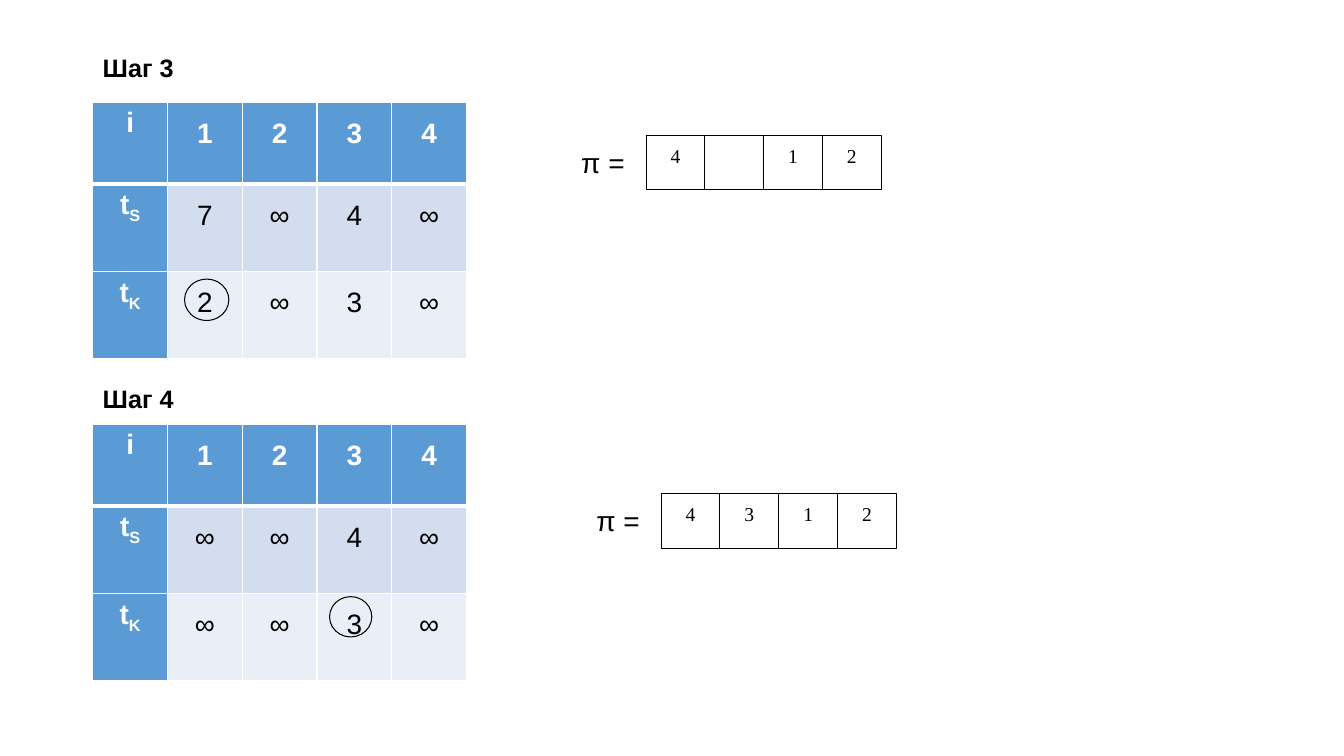
from pptx import Presentation
from pptx.dml.color import RGBColor
from pptx.enum.shapes import MSO_SHAPE
from pptx.enum.text import MSO_ANCHOR, MSO_AUTO_SIZE, PP_ALIGN
from pptx.oxml import parse_xml
from pptx.oxml.ns import nsdecls
from pptx.util import Pt

BLACK, WHITE, BLUE = "000000", "FFFFFF", "5B9BD5"
ROW_FILLS = [BLUE, "D2DEEF", "EAEFF7"]
ROW_HEIGHTS = [58.5, 62.5, 62.5]
COLUMN_WIDTH = 53.4
ROW_LABELS = [("i", ""), ("t", "S"), ("t", "K")]
LEFT = 66.3
CELL_WIDTH, CELL_HEIGHT, PI_WIDTH = 42, 38.9, 56


def color(value):
    return RGBColor.from_string(value)


def add_run(paragraph, text, size, font="Arial", fill=BLACK, bold=False):
    run = paragraph.add_run()
    run.text = text
    run.font.size = Pt(size)
    run.font.name = font
    run.font.bold = bold
    run.font.color.rgb = color(fill)
    return run


def center(paragraph, spacing):
    paragraph.alignment = PP_ALIGN.CENTER
    paragraph.line_spacing = spacing


def set_borders(cell, bottom_width):
    """Draw white borders, placed ahead of the cell fill as the schema asks."""
    properties = cell._tc.get_or_add_tcPr()
    widths = {"lnL": 1, "lnR": 1, "lnT": 1, "lnB": bottom_width}
    for index, (side, width) in enumerate(widths.items()):
        properties.insert(index, parse_xml(
            f'<a:{side} {nsdecls("a")} w="{Pt(width)}"><a:solidFill>'
            f'<a:srgbClr val="{WHITE}"/></a:solidFill></a:{side}>'))


def format_cell(cell, fill, bottom_width):
    cell.margin_left = cell.margin_right = Pt(5)
    cell.margin_top = cell.margin_bottom = 0
    cell.vertical_anchor = MSO_ANCHOR.TOP
    cell.fill.solid()
    cell.fill.fore_color.rgb = color(fill)
    set_borders(cell, bottom_width)


def add_label(cell, base, subscript):
    paragraph = cell.text_frame.paragraphs[0]
    center(paragraph, 1.15)
    add_run(paragraph, base, 20, fill=WHITE, bold=True)
    if subscript:
        run = add_run(paragraph, subscript, 20, fill=WHITE, bold=True)
        run.font._element.set("baseline", "-25000")


def add_times_table(slide, top, rows):
    table = slide.shapes.add_table(
        3, 5, Pt(LEFT), Pt(top), Pt(5 * COLUMN_WIDTH), Pt(sum(ROW_HEIGHTS))).table
    for column in table.columns:
        column.width = Pt(COLUMN_WIDTH)
    for row_index, values in enumerate(["1234", *rows]):
        table.rows[row_index].height = Pt(ROW_HEIGHTS[row_index])
        header = row_index == 0
        bottom_width = 3 if header else 1
        label_cell = table.cell(row_index, 0)
        format_cell(label_cell, BLUE, bottom_width)
        add_label(label_cell, *ROW_LABELS[row_index])
        for column_index, value in enumerate(values, start=1):
            cell = table.cell(row_index, column_index)
            format_cell(cell, ROW_FILLS[row_index], bottom_width)
            paragraph = cell.text_frame.paragraphs[0]
            center(paragraph, 1.5)
            add_run(paragraph, value, 20, fill=WHITE if header else BLACK, bold=header)


def add_outlined(shapes, kind, left, top, width, height):
    shape = shapes.add_shape(kind, Pt(left), Pt(top), Pt(width), Pt(height))
    shape.shadow.inherit = False
    shape.line.color.rgb = color(BLACK)
    shape.line.width = Pt(0.75)
    return shape


def add_permutation(slide, left, top, values):
    """Draw π = followed by a row of boxes; None leaves a box empty."""
    shapes = slide.shapes.add_group_shape().shapes
    pi_box = shapes.add_textbox(Pt(left), Pt(top), Pt(PI_WIDTH), Pt(CELL_HEIGHT))
    pi_box.text_frame.word_wrap = True
    paragraph = pi_box.text_frame.paragraphs[0]
    center(paragraph, 1.15)
    add_run(paragraph, "π = ", 20)
    for index, value in enumerate(values):
        box = add_outlined(shapes, MSO_SHAPE.RECTANGLE,
                           left + PI_WIDTH + index * CELL_WIDTH, top,
                           CELL_WIDTH, CELL_HEIGHT)
        box.fill.solid()
        box.fill.fore_color.rgb = color(WHITE)
        if value:
            box.text_frame.vertical_anchor = MSO_ANCHOR.TOP
            paragraph = box.text_frame.paragraphs[0]
            center(paragraph, 1.15)
            add_run(paragraph, value, 14, "Times New Roman")


def add_circle(slide, left, top, width, height):
    circle = add_outlined(slide.shapes, MSO_SHAPE.OVAL, left, top, width, height)
    circle.fill.background()


def add_heading(slide, top, text):
    box = slide.shapes.add_textbox(Pt(LEFT), Pt(top), Pt(65.5), Pt(29))
    box.text_frame.word_wrap = False
    box.text_frame.auto_size = MSO_AUTO_SIZE.SHAPE_TO_FIT_TEXT
    add_run(box.text_frame.paragraphs[0], text, 18, bold=True)


def main():
    presentation = Presentation()
    presentation.slide_width, presentation.slide_height = Pt(960), Pt(540)
    slide = presentation.slides.add_slide(presentation.slide_layouts[6])

    add_heading(slide, 34, "Шаг 3")
    add_times_table(slide, 73, ["7∞4∞", "2∞3∞"])
    add_permutation(slide, 405.5, 96.5, ["4", None, "1", "2"])
    add_circle(slide, 131.8, 199.4, 31.7, 29.5)

    add_heading(slide, 270, "Шаг 4")
    add_times_table(slide, 303, ["∞∞4∞", "∞∞3∞"])
    add_permutation(slide, 416.3, 352.8, ["4", "3", "1", "2"])
    add_circle(slide, 235.4, 426.2, 30.2, 28.8)

    presentation.save("out.pptx")


if __name__ == "__main__":
    main()
